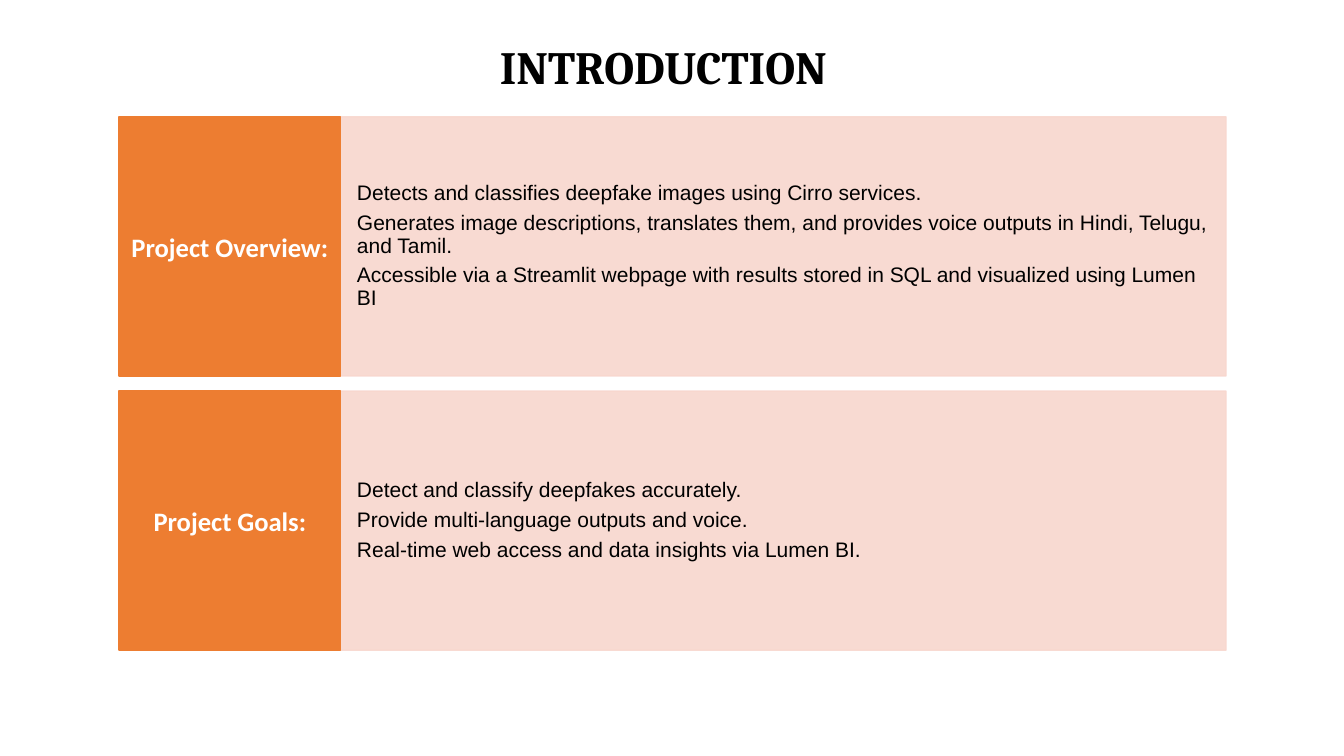
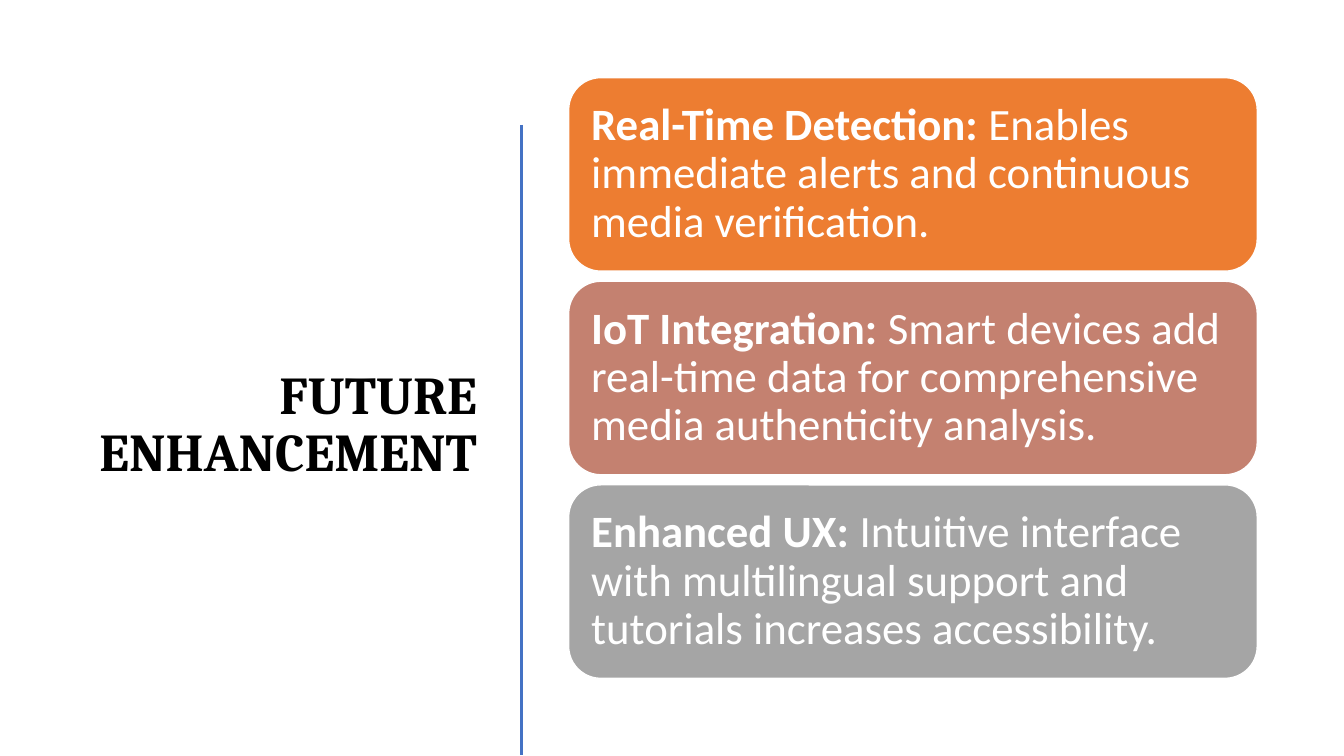
import pptx
import pptx.dml.color
import pptx.enum.shapes
import pptx.enum.text
import pptx.oxml
import pptx.oxml.ns
import pptx.util

PX = 9144
BLACK, WHITE = "000000", "FFFFFF"
ORANGE, PEACH, ROSE, GRAY, BLUE = "ED7D31", "F8D7CE", "C48170", "A5A5A5", "4472C4"
ALIGN = pptx.enum.text.PP_ALIGN
SHAPE = pptx.enum.shapes.MSO_SHAPE

TOPICS = [
    ("Project Overview:", [
        "Detects and classifies deepfake images using Cirro services.",
        "Generates image descriptions, translates them, and provides voice outputs"
        " in Hindi, Telugu, and Tamil.",
        "Accessible via a Streamlit webpage with results stored in SQL"
        " and visualized using Lumen BI",
    ]),
    ("Project Goals:", [
        "Detect and classify deepfakes accurately.",
        "Provide multi-language outputs and voice.",
        "Real-time web access and data insights via Lumen BI.",
    ]),
]
ENHANCEMENTS = [
    ("Real-Time Detection:",
     " Enables immediate alerts and continuous media verification.", ORANGE),
    ("IoT Integration:",
     " Smart devices add real-time data for comprehensive media authenticity analysis.", ROSE),
    ("Enhanced UX:",
     " Intuitive interface with multilingual support and tutorials increases accessibility.", GRAY),
]


def px(*values):
    """Turn lengths in px into EMU."""
    return [pptx.util.Emu(value * PX) for value in values]


def rgb(color):
    """Turn a hex string into a colour."""
    return pptx.dml.color.RGBColor.from_string(color)


def set_opacity(shape, percent):
    """Make the fill and line of a shape partly transparent."""
    for color in shape.element.spPr.iter(pptx.oxml.ns.qn("a:srgbClr")):
        alpha = pptx.oxml.parse_xml(f'<a:alpha {pptx.oxml.ns.nsdecls("a")} val="{percent * 1000}"/>')
        color.append(alpha)


def write(shape, paras, font, size, color, align=ALIGN.LEFT, inset=(10, 5), spacing=0.9, gap=0):
    """Fill a shape with paragraphs, each a list of (text, bold) spans."""
    frame = shape.text_frame
    frame.word_wrap = True
    frame.vertical_anchor = pptx.enum.text.MSO_ANCHOR.MIDDLE
    frame.margin_left, frame.margin_top = px(*inset)
    frame.margin_right, frame.margin_bottom = px(*inset)
    for index, spans in enumerate(paras):
        para = frame.add_paragraph() if index else frame.paragraphs[0]
        para.alignment = align
        para.line_spacing = spacing
        para.space_after = pptx.util.Pt(gap if index < len(paras) - 1 else 0)
        for text, bold in spans:
            span = para.add_run()
            span.text = text
            span.font.name = font
            span.font.size = pptx.util.Pt(size)
            span.font.bold = bold
            span.font.color.rgb = rgb(color)


def add_title(page, text, box, size, align=ALIGN.LEFT):
    """Add a slide title."""
    title = page.shapes.add_textbox(*px(*box))
    write(title, [[(text, True)]], "Cambria", size, BLACK, align)


def add_panel(page, kind, box, fill, line):
    """Add a filled shape with a thin outline."""
    panel = page.shapes.add_shape(kind, *px(*box))
    panel.shadow.inherit = False
    panel.fill.solid()
    panel.fill.fore_color.rgb = rgb(fill)
    panel.line.color.rgb = rgb(line)
    panel.line.width = pptx.util.Pt(1)
    return panel


def add_topic(page, top, heading, points):
    """Add a row with a heading block and its points."""
    height = 257
    body = add_panel(page, SHAPE.RECTANGLE, (337, top, 879, height), PEACH, PEACH)
    set_opacity(body, 90)
    write(body, [[(point, False)] for point in points], "Arial", 15, BLACK, inset=(17, 65), gap=5)
    label = add_panel(page, SHAPE.RECTANGLE, (118, top, 220, height), ORANGE, ORANGE)
    write(label, [[(heading, True)]], "Calibri", 19, WHITE, ALIGN.CENTER, (12, 25), 1.0)


def add_card(page, top, height, heading, detail, fill):
    """Add a rounded card with a bold heading and its detail."""
    card = add_panel(page, SHAPE.ROUNDED_RECTANGLE, (564, top, 683, height), fill, WHITE)
    write(card, [[(heading, True), (detail, False)]], "Calibri", 32, WHITE, inset=(13, 13))


def add_divider(page, x, top, bottom):
    """Add a vertical dividing line."""
    line = page.shapes.add_connector(
        pptx.enum.shapes.MSO_CONNECTOR.STRAIGHT, *px(x, top, x, bottom))
    line.line.color.rgb = rgb(BLUE)
    line.line.width = pptx.util.Pt(2)
    effects = pptx.oxml.parse_xml(f'<a:effectLst {pptx.oxml.ns.nsdecls("a")}/>')
    line.element.spPr.append(effects)


def add_introduction(page):
    """Build the introduction slide."""
    add_title(page, "INTRODUCTION", (486, 0, 362, 138), 33)
    for index, (heading, points) in enumerate(TOPICS):
        add_topic(page, 116 + index * 272, heading, points)


def add_future(page):
    """Build the future enhancement slide."""
    add_title(page, "FUTURE ENHANCEMENT", (52, 117, 431, 611), 38, ALIGN.RIGHT)
    add_divider(page, 517, 124, 749)
    height, gap = 192, 10
    for index, (heading, detail, fill) in enumerate(ENHANCEMENTS):
        add_card(page, 77 + index * (height + gap), height, heading, detail, fill)


def main():
    """Build and save the deck."""
    deck = pptx.Presentation()
    deck.slide_width, deck.slide_height = px(1333, 750)
    for build in (add_introduction, add_future):
        build(deck.slides.add_slide(deck.slide_layouts[6]))
    deck.save("out.pptx")


if __name__ == "__main__":
    main()
